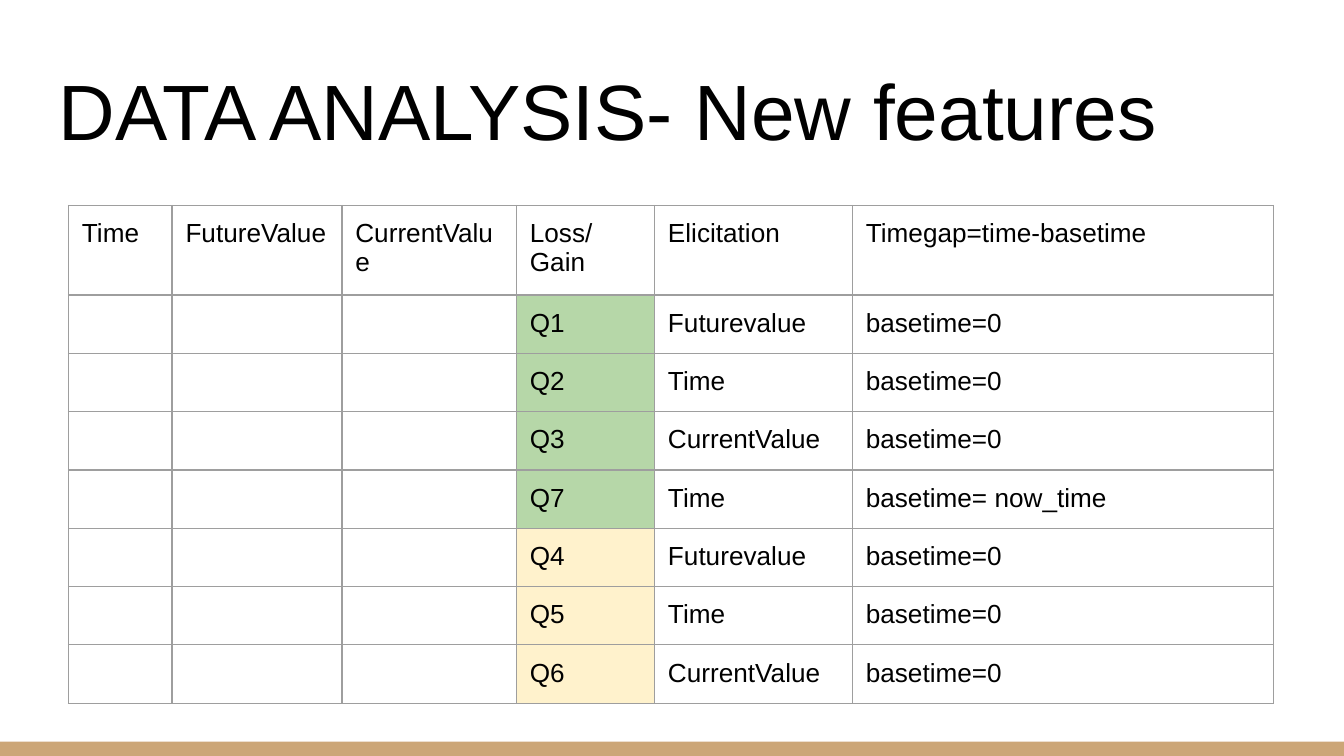
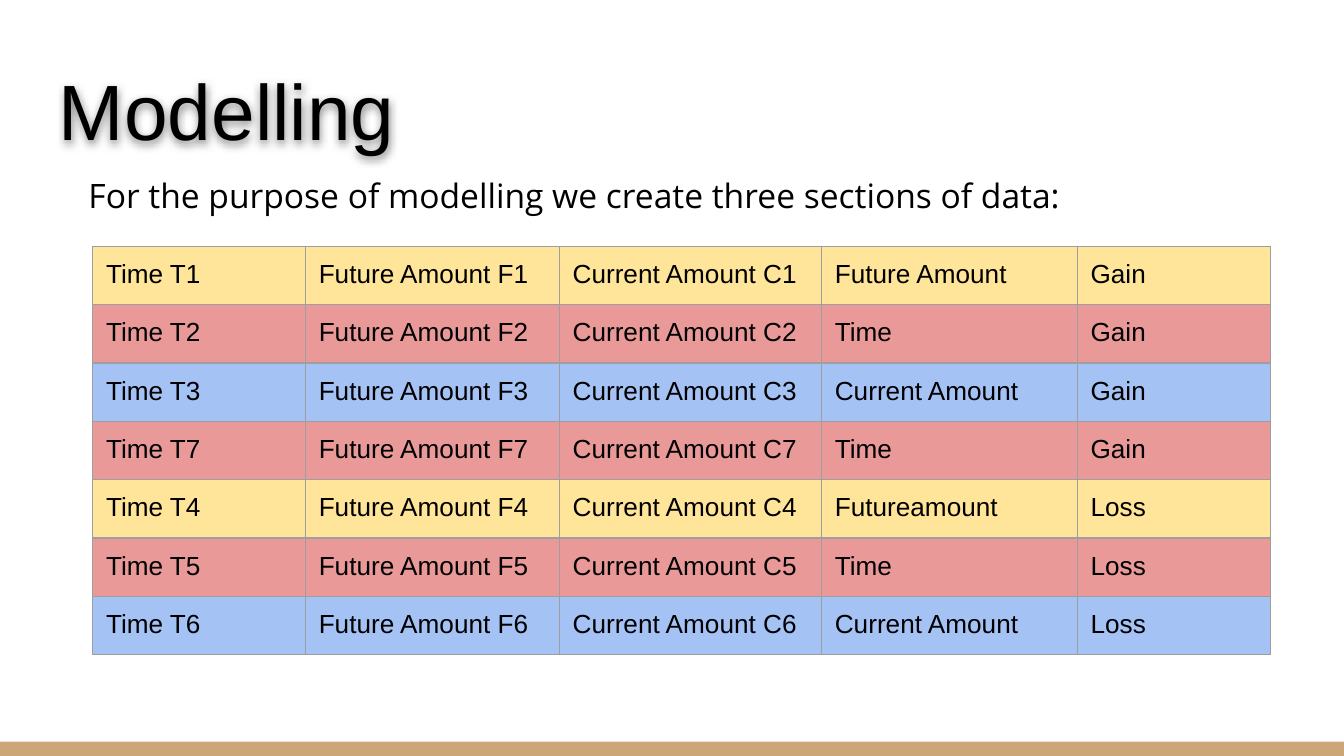
from lxml.etree import SubElement
from pptx import Presentation
from pptx.dml.color import RGBColor
from pptx.enum.shapes import MSO_SHAPE
from pptx.enum.text import MSO_ANCHOR
from pptx.oxml import parse_xml
from pptx.oxml.ns import nsdecls, qn
from pptx.util import Pt

PAGE_WIDTH, PAGE_HEIGHT = 720, 405
BAND_HEIGHT = 7.6
INSET = 7.2
BLACK, TAN, GREY = "000000", "CCA677", "9E9E9E"
GREEN, CREAM = "B6D7A8", "FFF2CC"
YELLOW, RED, BLUE = "FFE599", "EA9999", "A4C2F4"
TITLE_BOX = (24.5, 25.2, 671, 65.6)

FEATURE_HEADER = ["Time", "FutureValue", "CurrentValue", "Loss/Gain",
                  "Elicitation", "Timegap=time-basetime"]
FEATURES = [
    ("Q1", "Futurevalue", "basetime=0", GREEN),
    ("Q2", "Time", "basetime=0", GREEN),
    ("Q3", "CurrentValue", "basetime=0", GREEN),
    ("Q7", "Time", "basetime= now_time", GREEN),
    ("Q4", "Futurevalue", "basetime=0", CREAM),
    ("Q5", "Time", "basetime=0", CREAM),
    ("Q6", "CurrentValue", "basetime=0", CREAM),
]
SECTIONS = [
    (1, "Future Amount", "Gain", YELLOW),
    (2, "Time", "Gain", RED),
    (3, "Current Amount", "Gain", BLUE),
    (7, "Time", "Gain", RED),
    (4, "Futureamount", "Loss", YELLOW),
    (5, "Time", "Loss", RED),
    (6, "Current Amount", "Loss", BLUE),
]


def colour(value):
    return RGBColor.from_string(value)


def style_paragraph(para, size, font="Arial"):
    para.font.size = Pt(size)
    para.font.name = font
    para.font.color.rgb = colour(BLACK)


def set_insets(target):
    """Give a text frame or a table cell the shared inner margins."""
    target.margin_left = target.margin_right = Pt(INSET)
    target.margin_top = target.margin_bottom = Pt(INSET)


def add_text(page, box, text, size, font="Arial", anchor=MSO_ANCHOR.TOP):
    shape = page.shapes.add_textbox(*map(Pt, box))
    frame = shape.text_frame
    frame.word_wrap = True
    frame.vertical_anchor = anchor
    set_insets(frame)
    frame.text = text
    style_paragraph(frame.paragraphs[0], size, font)
    return shape


def add_text_shadow(shape):
    shape._element.spPr.append(parse_xml(
        f'<a:effectLst {nsdecls("a")}>'
        '<a:outerShdw blurRad="57150" dist="19050" dir="5400000" algn="bl" rotWithShape="0">'
        '<a:srgbClr val="000000"><a:alpha val="50000"/></a:srgbClr>'
        '</a:outerShdw></a:effectLst>'))


def add_page(deck, title):
    """Add a slide with the bottom band and the title; return it with its title shape."""
    page = deck.slides.add_slide(deck.slide_layouts[6])
    band = page.shapes.add_shape(
        MSO_SHAPE.RECTANGLE, 0, Pt(PAGE_HEIGHT - BAND_HEIGHT), Pt(PAGE_WIDTH), Pt(BAND_HEIGHT))
    band.shadow.inherit = False
    band.fill.solid()
    band.fill.fore_color.rgb = colour(TAN)
    band.line.fill.background()
    return page, add_text(page, TITLE_BOX, title, 42, anchor=MSO_ANCHOR.BOTTOM)


def add_borders(cell):
    properties = cell._tc.get_or_add_tcPr()
    for side in ("a:lnL", "a:lnR", "a:lnT", "a:lnB"):
        line = SubElement(properties, qn(side), w=str(Pt(0.75)))
        SubElement(SubElement(line, qn("a:solidFill")), qn("a:srgbClr"), val=GREY)


def fill_cell(cell, text, fill):
    add_borders(cell)
    if fill:
        cell.fill.solid()
        cell.fill.fore_color.rgb = colour(fill)
    else:
        cell.fill.background()
    if text:
        set_insets(cell)
        cell.text = text
        style_paragraph(cell.text_frame.paragraphs[0], 14)


def add_grid(page, left, top, widths, heights, rows):
    """Draw a bordered table; each row is a list of (text, fill) pairs."""
    frame = page.shapes.add_table(len(heights), len(widths), Pt(left), Pt(top),
                                  Pt(sum(widths)), Pt(sum(heights)))
    table = frame.table
    table.first_row = table.horz_banding = False
    for column, width in zip(table.columns, widths):
        column.width = Pt(width)
    for row, height, entries in zip(table.rows, heights, rows):
        row.height = Pt(height)
        for cell, (text, fill) in zip(row.cells, entries):
            fill_cell(cell, text, fill)


def build_features_page(deck):
    page, _ = add_page(deck, "DATA ANALYSIS- New features")
    rows = [[(name, None) for name in FEATURE_HEADER]]
    for question, elicited, timegap, fill in FEATURES:
        rows.append([("", None)] * 3 + [(question, fill), (elicited, None), (timegap, None)])
    add_grid(page, 36.7, 110, [55.5, 91, 93.5, 74, 106, 225.5],
             [46] + [30.1] * len(FEATURES), rows)


def build_modelling_page(deck):
    page, title = add_page(deck, "Modelling")
    add_text_shadow(title)
    intro = add_text(page, (40.3, 83.5, 671, 264.2),
                     "For the purpose of modelling we create three sections of data:",
                     18, "Open Sans")
    intro.text_frame.paragraphs[0].line_spacing = 1.15
    rows = []
    for number, elicited, outcome, fill in SECTIONS:
        texts = [f"Time T{number}", f"Future Amount F{number}",
                 f"Current Amount C{number}", elicited, outcome]
        rows.append([(text, fill) for text in texts])
    add_grid(page, 49.6, 132, [114, 136, 140.5, 137, 103.5], [30.1] * len(SECTIONS), rows)


def main():
    deck = Presentation()
    deck.slide_width, deck.slide_height = Pt(PAGE_WIDTH), Pt(PAGE_HEIGHT)
    build_features_page(deck)
    build_modelling_page(deck)
    deck.save("out.pptx")


if __name__ == "__main__":
    main()
